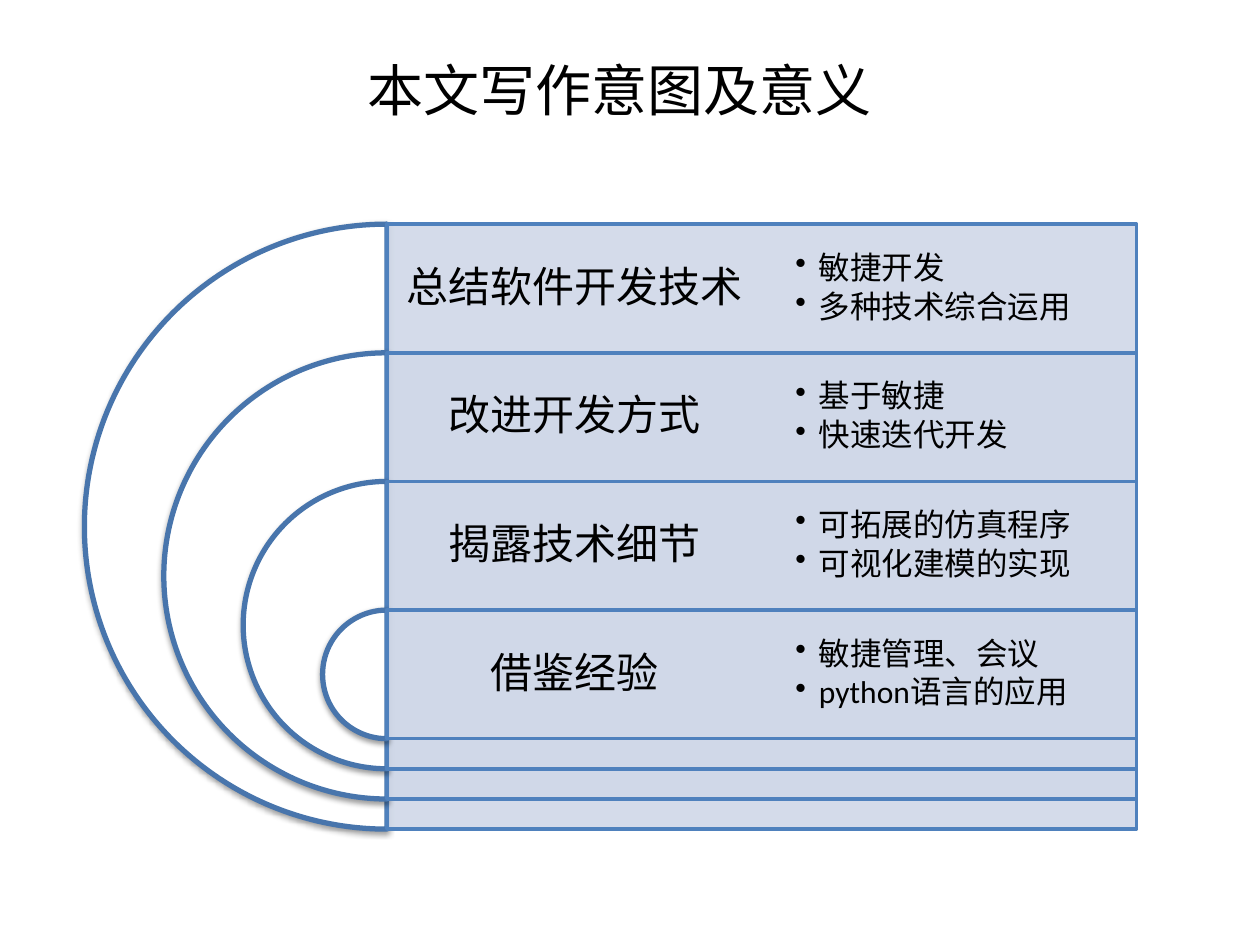
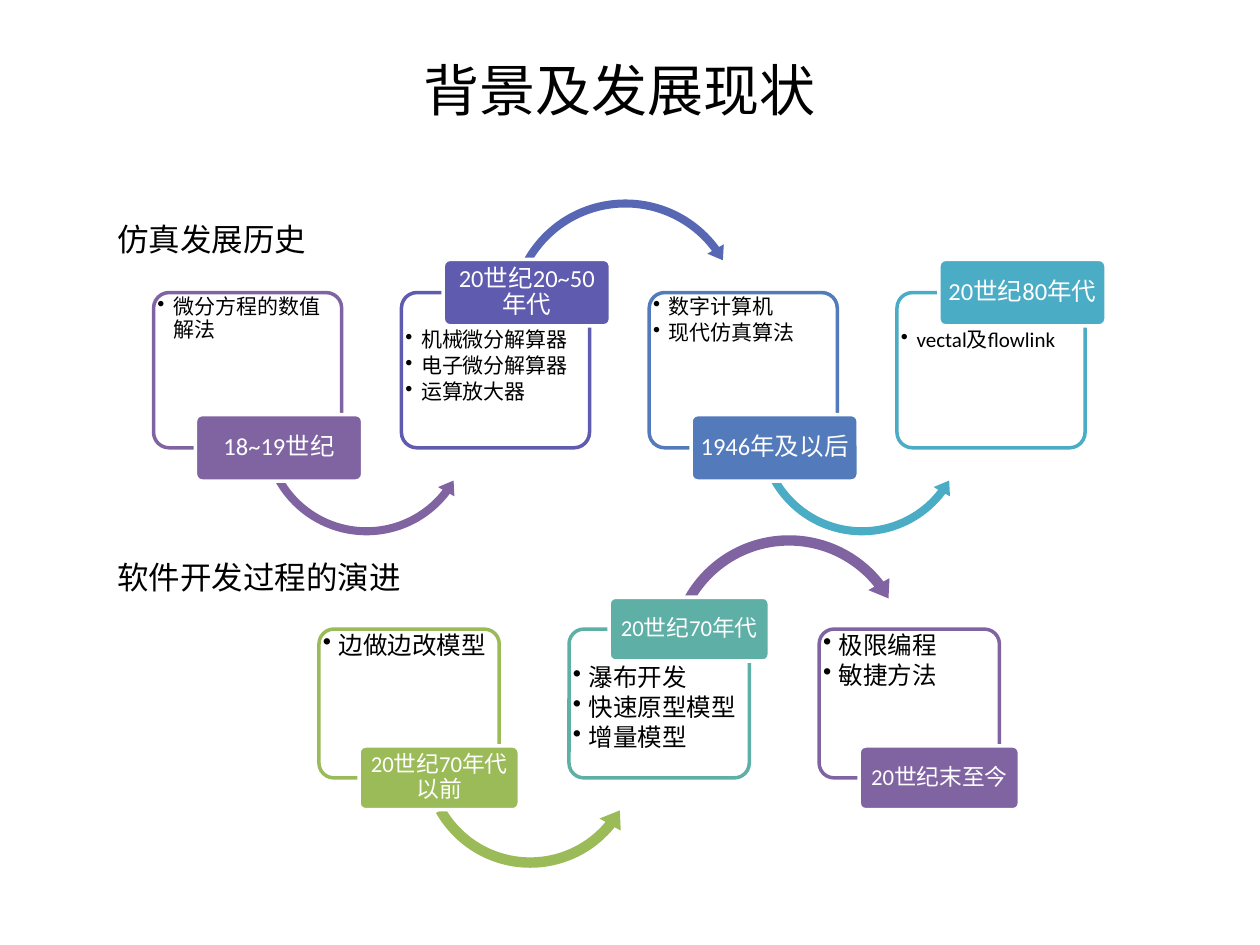
from lxml.etree import SubElement
from pptx import Presentation
from pptx.dml.color import RGBColor
from pptx.enum.shapes import MSO_SHAPE
from pptx.enum.text import MSO_ANCHOR, PP_ALIGN
from pptx.oxml.ns import qn
from pptx.util import Pt

BLACK = RGBColor(0x00, 0x00, 0x00)
WHITE = RGBColor(0xFF, 0xFF, 0xFF)
PALE_BLUE = RGBColor(0xD0, 0xD8, 0xE8)
BLUE = RGBColor(0x4F, 0x81, 0xBD)
ARC_BLUE = RGBColor(0x48, 0x75, 0xAC)
PURPLE = RGBColor(0x80, 0x64, 0xA2)
INDIGO = RGBColor(0x5F, 0x5B, 0xAE)
ARROW_INDIGO = RGBColor(0x57, 0x67, 0xB4)
STEEL = RGBColor(0x53, 0x7A, 0xBA)
CYAN = RGBColor(0x4B, 0xAC, 0xC6)
GREEN = RGBColor(0x9B, 0xBB, 0x59)
TEAL = RGBColor(0x5E, 0xAF, 0xA6)

HEADING_FONT = "Noto Sans CJK SC"
BODY_FONT = "Calibri"

PURPOSES = [
    ("总结软件开发技术", ["敏捷开发", "多种技术综合运用"]),
    ("改进开发方式", ["基于敏捷", "快速迭代开发"]),
    ("揭露技术细节", ["可拓展的仿真程序", "可视化建模的实现"]),
    ("借鉴经验", ["敏捷管理、会议", "python语言的应用"]),
]
SIMULATION_STAGES = [
    ("18~19世纪", ["微分方程的数值解法"], PURPLE, PURPLE),
    ("20世纪20~50年代", ["机械微分解算器", "电子微分解算器", "运算放大器"], INDIGO, ARROW_INDIGO),
    ("1946年及以后", ["数字计算机", "现代仿真算法"], STEEL, CYAN),
    ("20世纪80年代", ["vectal及flowlink"], CYAN, None),
]
SOFTWARE_STAGES = [
    ("20世纪70年代以前", ["边做边改模型"], GREEN, GREEN),
    ("20世纪70年代", ["瀑布开发", "快速原型模型", "增量模型"], TEAL, PURPLE),
    ("20世纪末至今", ["极限编程", "敏捷方法"], PURPLE, None),
]
SIMULATION_ARROWS = [
    (MSO_SHAPE.LEFT_CIRCULAR_ARROW, 59, 16.5, 125.3, (0.037, 4.6, 22.355, 90.245, 0.043)),
    (MSO_SHAPE.CIRCULAR_ARROW, 58.5, -56.3, 139, (0.033, 4.11, 194.135, 125.755, 0.039)),
]
SOFTWARE_ARROWS = [
    (MSO_SHAPE.LEFT_CIRCULAR_ARROW, 54.8, 8.6, 131.8, (0.045, 5.743, 23.498, 90.245, 0.053)),
    (MSO_SHAPE.CIRCULAR_ARROW, 53.3, -57.6, 144.7, (0.041, 5.169, 193.076, 125.755, 0.048)),
]


class Deck:
    """Hold the presentation, its style and the current slide."""

    def __init__(self):
        self.presentation = Presentation()
        self.presentation.slide_width = Pt(720)
        self.presentation.slide_height = Pt(540)
        self.slide = None

    def start_slide(self, title):
        """Add a blank slide with the shared title."""
        self.slide = self.presentation.slides.add_slide(self.presentation.slide_layouts[6])
        self.text(title, 184.3, 25.9, 339.8, 49.7, size=32, font=HEADING_FONT,
                  align=PP_ALIGN.CENTER)

    def text(self, lines, left, top, width, height, size=18, font=BODY_FONT, color=BLACK,
             align=PP_ALIGN.LEFT, anchor=MSO_ANCHOR.MIDDLE, inset=(7.2, 3.6),
             line_spacing=1.0, indent=0):
        """Add a text box; an indent turns its lines into bullets."""
        box = self.slide.shapes.add_textbox(Pt(left), Pt(top), Pt(width), Pt(height))
        frame = box.text_frame
        frame.word_wrap = True
        frame.vertical_anchor = anchor
        frame.margin_left = frame.margin_right = Pt(inset[0])
        frame.margin_top = frame.margin_bottom = Pt(inset[1])
        frame.text = lines if isinstance(lines, str) else "\n".join(lines)
        for paragraph in frame.paragraphs:
            paragraph.alignment = align
            paragraph.line_spacing = line_spacing
            if indent:
                self.bullet(paragraph, indent)
                paragraph.space_after = Pt(0.15 * size)
            for run in paragraph.runs:
                run.font.size = Pt(size)
                run.font.name = font
                run.font.color.rgb = color
                SubElement(run._r.get_or_add_rPr(), qn("a:ea"), typeface=font)

    def bullet(self, paragraph, indent):
        """Give a paragraph a hanging bullet."""
        properties = paragraph._p.get_or_add_pPr()
        properties.set("marL", str(Pt(indent)))
        properties.set("indent", str(Pt(-indent)))
        SubElement(properties, qn("a:buChar"), char="•")

    def shape(self, kind, left, top, width, height, fill, line=None, line_width=2,
              adjustments=(), opacity=100, shadow=False):
        """Add a filled preset shape."""
        shape = self.slide.shapes.add_shape(kind, Pt(left), Pt(top), Pt(width), Pt(height))
        for index, value in enumerate(adjustments):
            shape.adjustments[index] = value
        shape.fill.solid()
        shape.fill.fore_color.rgb = fill
        if line is None:
            shape.line.fill.background()
        else:
            shape.line.color.rgb = line
            shape.line.width = Pt(line_width)
        shape.shadow.inherit = False
        properties = shape._element.spPr
        if opacity < 100:
            color = properties.find(qn("a:solidFill")).find(qn("a:srgbClr"))
            SubElement(color, qn("a:alpha"), val=str(opacity * 1000))
        if shadow:
            self.drop_shadow(properties.find(qn("a:effectLst")))

    def drop_shadow(self, effects):
        """Put a soft shadow below a shape."""
        outer = SubElement(effects, qn("a:outerShdw"), blurRad=str(Pt(3.1)),
                           dist=str(Pt(1.6)), dir="5400000", rotWithShape="0")
        color = SubElement(outer, qn("a:srgbClr"), val=str(BLACK))
        SubElement(color, qn("a:alpha"), val="38000")

    def purpose_row(self, index, heading, points):
        """Add one half disc with its band, heading and bullets."""
        row_height, middle, column = 73.5, 221.1, 214.2
        top = 128.1 + row_height * index
        diameter = 345.7 - 90.73 * index
        self.shape(MSO_SHAPE.PIE, middle - diameter / 2, top, diameter, diameter, WHITE,
                   ARC_BLUE, line_width=3, adjustments=(54, 162), shadow=True)
        self.shape(MSO_SHAPE.RECTANGLE, middle, top, 2 * column, diameter, PALE_BLUE, BLUE,
                   opacity=90)
        self.text(heading, middle, top, column, row_height, size=24, align=PP_ALIGN.CENTER,
                  inset=(7.2, 7.2), line_spacing=0.9)
        self.text(points, middle + column, top, column, row_height, inset=(19.2, 19.2),
                  line_spacing=0.9, indent=13.5)

    def timeline(self, stages, arrows, left, top, width, height, pitch, point_size, tag_size):
        """Add a chain of boxes with tags alternating below and above."""
        tag_width, tag_height = width * 8 / 9, height * 3 / 7
        for index, (period, points, color, arrow_color) in enumerate(stages):
            tag_above = index % 2 == 1
            x = left + pitch * index
            tag_center = top if tag_above else top + height
            points_top = top + tag_height / 2 if tag_above else top
            self.shape(MSO_SHAPE.ROUNDED_RECTANGLE, x, top, width, height, WHITE, color,
                       adjustments=(0.1,), opacity=90)
            self.text(points, x, points_top, width, height - tag_height / 2, size=point_size,
                      anchor=MSO_ANCHOR.TOP, inset=(2.2, 2.2), line_spacing=0.9, indent=9)
            if arrow_color is not None:
                kind, shift_x, shift_y, size, adjustments = arrows[index % 2]
                self.shape(kind, x + shift_x, top + shift_y, size, size, arrow_color,
                           adjustments=adjustments)
            tag = (x + width * 2 / 9, tag_center - tag_height / 2, tag_width, tag_height)
            self.shape(MSO_SHAPE.ROUNDED_RECTANGLE, *tag, color, WHITE, adjustments=(0.1,))
            self.text(period, *tag, size=tag_size, color=WHITE, align=PP_ALIGN.CENTER,
                      inset=(2, 1.4), line_spacing=0.9)


def main():
    """Build both slides and save them."""
    deck = Deck()
    deck.start_slide("本文写作意图及意义")
    for index, (heading, points) in enumerate(PURPOSES):
        deck.purpose_row(index, heading, points)

    deck.start_slide("背景及发展现状")
    deck.timeline(SIMULATION_STAGES, SIMULATION_ARROWS, left=87.8, top=167.2, width=107.5,
                  height=88.7, pitch=141.6, point_size=12, tag_size=14)
    deck.timeline(SOFTWARE_STAGES, SOFTWARE_ARROWS, left=182.3, top=359.5, width=103,
                  height=85, pitch=142.9, point_size=14, tag_size=13)
    deck.text("仿真发展历史", 59.8, 122.4, 123.8, 28.8, font=HEADING_FONT)
    deck.text("软件开发过程的演进", 59.8, 315.4, 177.8, 28.8, font=HEADING_FONT)
    deck.presentation.save("out.pptx")


if __name__ == "__main__":
    main()
